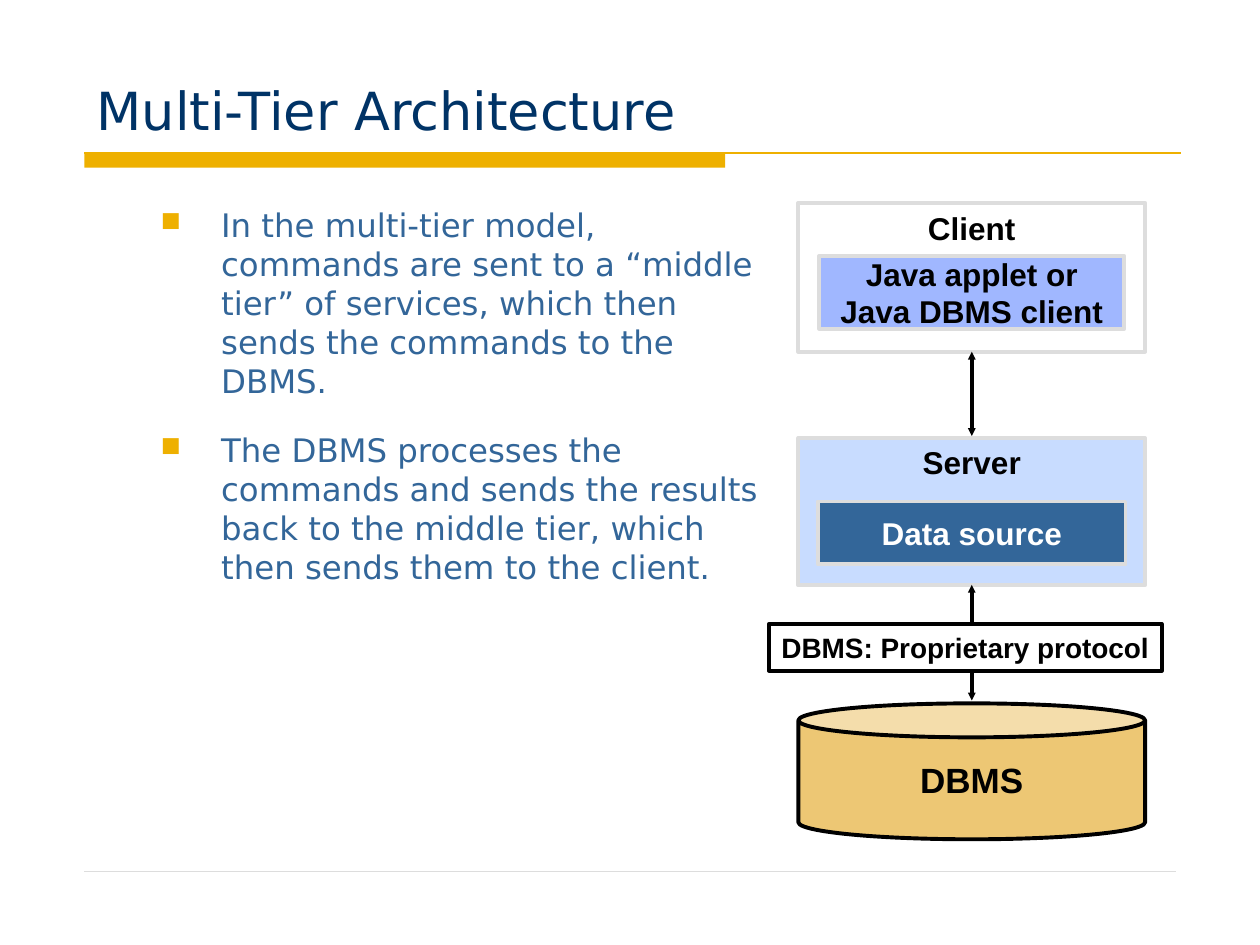
from dataclasses import dataclass

from lxml.etree import SubElement
from pptx import Presentation
from pptx.dml.color import RGBColor
from pptx.enum.shapes import MSO_CONNECTOR as Connector
from pptx.enum.shapes import MSO_SHAPE as Shape
from pptx.enum.text import MSO_ANCHOR as Anchor
from pptx.enum.text import PP_ALIGN as Align
from pptx.oxml.ns import qn
from pptx.util import Cm, Pt

COLORS = {
    "gold": "EEB000", "navy": "003366", "blue": "336699", "sky": "C8DCFF",
    "lilac": "A0B7FF", "sand": "EDC774", "grey": "DDDDDD",
    "white": "FFFFFF", "black": "000000",
}
MARGIN = 1.7
AXIS = 19.59  # centre of the tier diagram
TIER_W = 6.99
LABEL_W = 2.6


@dataclass
class Box:
    """A diagram part; a part without fill is a plain label."""
    top: float
    width: float
    height: float
    lines: tuple[str, ...] = ()
    fill: str = ""
    line: str = "grey"
    size: float = 18
    color: str = "black"
    shape: Shape = Shape.RECTANGLE
    anchor: Anchor = Anchor.MIDDLE
    center: float = AXIS


@dataclass
class Arrow:
    top: float
    bottom: float


TIERS = [
    Box(8.83, TIER_W, 2.97, fill="sky"),
    Box(14.18, TIER_W, 2.74, ("DBMS",), "sand", "black", 20, shape=Shape.CAN),
    Box(10.11, 6.2, 1.27, ("Data source",), "blue", color="white"),
    Box(4.09, TIER_W, 3, fill="white"),
    Box(5.16, 6.15, 1.47, ("Java applet or", "Java DBMS client"), "lilac"),
    Box(4.09, LABEL_W, 1.02, ("Client",), anchor=Anchor.TOP),
    Box(8.81, LABEL_W, 1.02, ("Server",), anchor=Anchor.TOP),
]
ARROWS = [Arrow(7.09, 8.79), Arrow(11.79, 14.12)]
PROTOCOL = Box(12.58, 7.92, 0.94, ("DBMS: Proprietary protocol",), "white",
               "black", 16, anchor=Anchor.TOP, center=19.46)
BULLETS = (
    "In the multi-tier model, commands are sent to a “middle tier” of services, "
    "which then sends the commands to the DBMS.",
    "The DBMS processes the commands and sends the results back to the middle "
    "tier, which then sends them to the client.",
)


def rgb(name: str) -> RGBColor:
    return RGBColor.from_string(COLORS[name])


def write(sp, lines, *, size, color, font="Arial", bold=False,
          align=Align.LEFT, anchor=Anchor.TOP, wrap=True):
    """Fill a shape with one paragraph per line and return the paragraphs."""
    tf = sp.text_frame
    tf.word_wrap = wrap
    tf.vertical_anchor = anchor
    for i, line in enumerate(lines):
        p = tf.add_paragraph() if i else tf.paragraphs[0]
        p.alignment = align
        r = p.add_run()
        r.text = line
        r.font.name = font
        r.font.size = Pt(size)
        r.font.bold = bold
        r.font.color.rgb = rgb(color)
    return tf.paragraphs


def add_bullet(p, indent: float, hanging: float) -> None:
    p.space_before = Pt(5)
    p.space_after = Pt(12.5)
    pPr = p._p.get_or_add_pPr()
    pPr.set("marL", str(Cm(indent)))
    pPr.set("indent", str(-Cm(hanging)))
    bu_color = SubElement(pPr, qn("a:buClr"))
    SubElement(bu_color, qn("a:srgbClr"), val=COLORS["gold"])
    SubElement(pPr, qn("a:buSzPct"), val="85000")
    SubElement(pPr, qn("a:buChar"), char="■")


def add_block(s, shape, left, top, width, height, fill, line=""):
    sp = s.shapes.add_shape(shape, Cm(left), Cm(top), Cm(width), Cm(height))
    sp.shadow.inherit = False
    sp.fill.solid()
    sp.fill.fore_color.rgb = rgb(fill)
    if line:
        sp.line.color.rgb = rgb(line)
        sp.line.width = Pt(2.25)
    else:
        sp.line.fill.background()
    return sp


def add_text_box(s, left, top, width, height):
    return s.shapes.add_textbox(Cm(left), Cm(top), Cm(width), Cm(height))


def draw_box(s, box: Box) -> None:
    place = (box.center - box.width / 2, box.top, box.width, box.height)
    if box.fill:
        sp = add_block(s, box.shape, *place, box.fill, box.line)
    else:
        sp = add_text_box(s, *place)
    if box.lines:
        write(sp, box.lines, size=box.size, color=box.color, bold=True,
              align=Align.CENTER, anchor=box.anchor, wrap=False)


def draw_line(s, x1, y1, x2, y2, color, width):
    line = s.shapes.add_connector(Connector.STRAIGHT, Cm(x1), Cm(y1), Cm(x2), Cm(y2))
    line.line.color.rgb = rgb(color)
    line.line.width = Pt(width)
    SubElement(line._element.spPr, qn("a:effectLst"))
    return line


def draw_arrow(s, arrow: Arrow) -> None:
    line = draw_line(s, AXIS, arrow.top, AXIS, arrow.bottom, "black", 2.25)
    ln = line.line._get_or_add_ln()
    for end in ("a:headEnd", "a:tailEnd"):
        SubElement(ln, qn(end), type="triangle", w="sm", len="sm")


def main() -> None:
    prs = Presentation()
    prs.slide_width, prs.slide_height = Cm(25.4), Cm(19.05)
    s = prs.slides.add_slide(prs.slide_layouts[6])

    add_block(s, Shape.RECTANGLE, MARGIN, 3.07, 12.92, 0.31, "gold")
    draw_line(s, MARGIN, 3.08, 23.8, 3.08, "gold", 1)
    draw_line(s, MARGIN, 17.57, 23.7, 17.57, "grey", 0.25)

    title = add_text_box(s, MARGIN, 0.43, 22.23, 2.54)
    write(title, ["Multi-Tier Architecture"], size=30, color="navy",
          font="DejaVu Sans", anchor=Anchor.BOTTOM)
    body = add_text_box(s, MARGIN, 4.01, 14.17, 7.7)
    for p in write(body, BULLETS, size=18.5, color="blue", font="DejaVu Sans"):
        add_bullet(p, 2.51, 1.22)

    for box in TIERS:
        draw_box(s, box)
    for arrow in ARROWS:
        draw_arrow(s, arrow)
    draw_box(s, PROTOCOL)

    prs.save("out.pptx")


if __name__ == "__main__":
    main()
